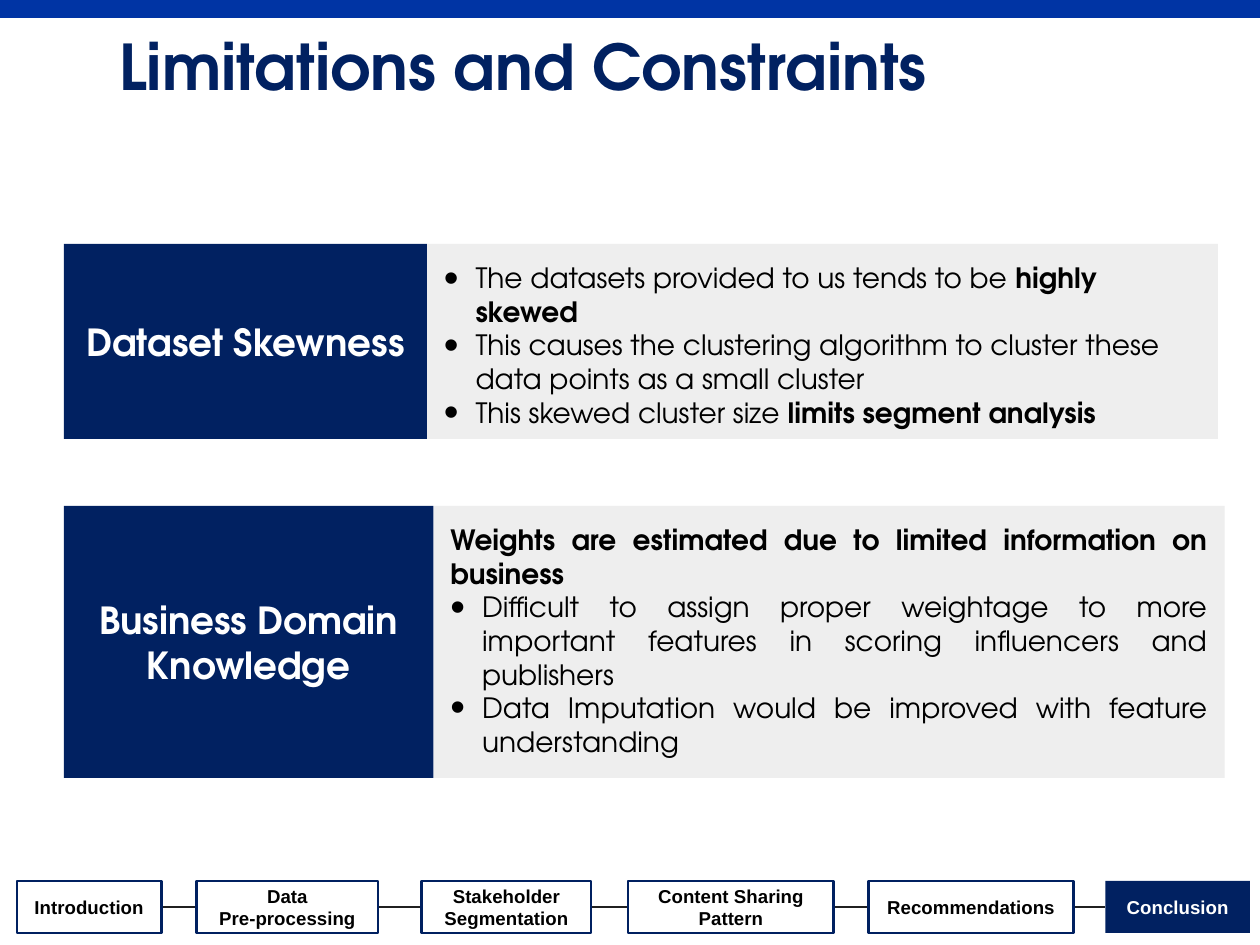
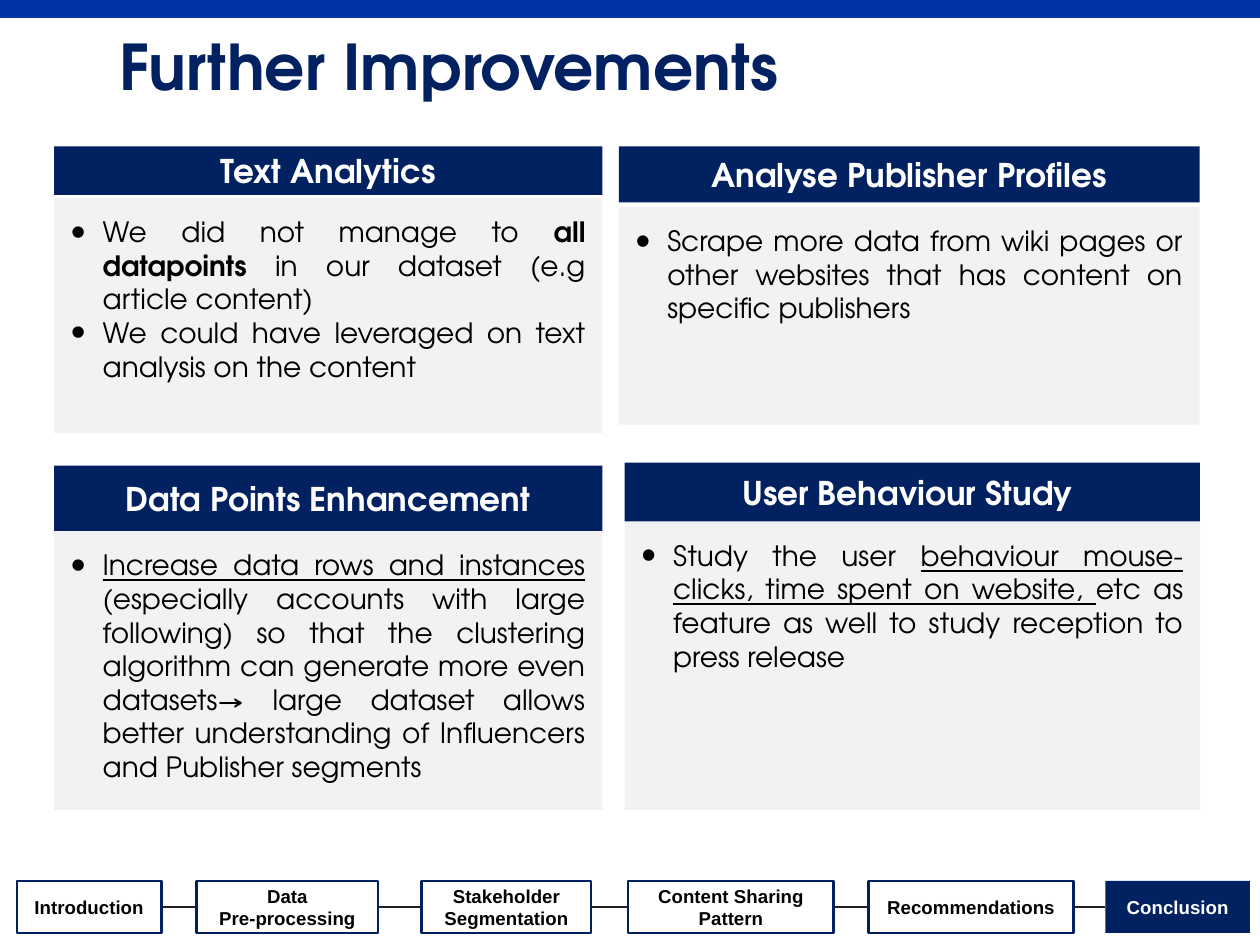
from itertools import pairwise

from lxml.etree import SubElement
from pptx import Presentation
from pptx.dml.color import RGBColor
from pptx.enum.shapes import MSO_CONNECTOR, MSO_SHAPE
from pptx.enum.text import MSO_ANCHOR, MSO_AUTO_SIZE, PP_ALIGN
from pptx.oxml.ns import qn
from pptx.util import Pt

COLORS = {
    "navy": "012161",
    "outline": "002060",
    "band": "0034A4",
    "line": "202020",
    "black": "000000",
    "white": "FFFFFF",
    "row": "EEEEEE",
    "card": "F2F2F2",
}
HEADING_FONT = "TeX Gyre Adventor"
FOOTER_FONT = "Arial"
WIDTH, HEIGHT = 540, 405
LIST_INDENT = 13.6
TWO_LISTS, FOUR_LISTS = 3, 4  # layouts with that many body placeholders

STAGES = [  # left, width, lines
    (7.2, 62, ["Introduction"]),
    (84.2, 78, ["Data", "Pre-processing"]),
    (180.7, 72.7, ["Stakeholder Segmentation"]),
    (269.3, 88, ["Content Sharing Pattern"]),
    (372.2, 88, ["Recommendations"]),
    (473.8, 61.9, ["Conclusion"]),
]
CURRENT_STAGE = "Conclusion"

# A paragraph is a list of spans: (text, marks), where b is bold and u underlined.
LIMITATIONS = [  # box, label width, label, lead, bullets, alignment
    ((27.4, 104.5, 494.6, 83.6), 155.6, "Dataset Skewness", [], [
        [("The datasets provided to us tends to be ", ""), ("highly skewed", "b")],
        [("This causes the clustering algorithm to cluster these data points "
          "as a small cluster", "")],
        [("This skewed cluster size ", ""), ("limits segment analysis", "b")],
    ], PP_ALIGN.LEFT),
    ((27.4, 216.8, 497.5, 116.6), 158.4, "Business Domain Knowledge", [
        [("Weights are estimated due to limited information on business", "b")],
    ], [
        [("Difficult to assign proper weightage to more important features in "
          "scoring influencers and publishers", "")],
        [("Data Imputation would be improved with feature understanding", "")],
    ], PP_ALIGN.JUSTIFY),
]
IMPROVEMENTS = [  # box, heading height, gap, heading, bullets
    ((23.2, 62.7, 235, 122.9), 20.9, 1.2, "Text Analytics", [
        [("We did not manage to ", ""), ("all datapoints", "b"),
         (" in our dataset (e.g article content)", "")],
        [("We could have leveraged on text analysis on the content", "")],
    ]),
    ((265.2, 62.7, 249, 119.3), 24, 2, "Analyse Publisher Profiles", [
        [("Scrape more data from wiki pages or other websites that has content on "
          "specific publishers", "")],
    ]),
    ((23.2, 199.6, 235, 147.5), 28, 0, "Data Points Enhancement", [
        [("Increase data rows and instances ", "u"),
         ("(especially accounts with large following) so that the clustering "
          "algorithm can generate more even datasets→ large dataset allows better "
          "understanding of Influencers and Publisher segments", "")],
    ]),
    ((267.7, 198.3, 246.6, 148.8), 25.2, 0, "User Behaviour Study ", [
        [("Study the user ", ""),
         ("behaviour mouse-clicks, time spent on website, ", "u"),
         ("etc as feature as well to study reception to press release", "")],
    ]),
]


def rgb(name):
    return RGBColor.from_string(COLORS[name])


def place(shape, box):
    shape.left, shape.top, shape.width, shape.height = map(Pt, box)


def set_bullet(para, bulleted):
    properties = para._p.get_or_add_pPr()
    indent = Pt(LIST_INDENT) if bulleted else 0
    properties.set("marL", str(indent))
    properties.set("indent", str(-indent))
    if not bulleted:
        SubElement(properties, qn("a:buNone"))
        return
    color = SubElement(properties, qn("a:buClr"))
    SubElement(color, qn("a:srgbClr"), val=COLORS["black"])
    SubElement(properties, qn("a:buSzPct"), val="150000")
    SubElement(properties, qn("a:buFont"), typeface=FOOTER_FONT)
    SubElement(properties, qn("a:buChar"), char="•")


def write_text(shape, paragraphs, *, size, color="black", font=HEADING_FONT,
               align=PP_ALIGN.CENTER, anchor=MSO_ANCHOR.MIDDLE,
               insets=(7.2, 3.6), spacing=1.0, bullets_from=None):
    """Fill a shape with paragraphs; those from index bullets_from get bullets."""
    frame = shape.text_frame
    frame.word_wrap = True
    frame.auto_size = MSO_AUTO_SIZE.NONE
    frame.vertical_anchor = anchor
    frame.margin_left = frame.margin_right = Pt(insets[0])
    frame.margin_top = frame.margin_bottom = Pt(insets[1])
    for index, spans in enumerate(paragraphs):
        para = frame.add_paragraph() if index else frame.paragraphs[0]
        para.alignment = align
        para.line_spacing = spacing
        para.space_before = para.space_after = Pt(0)
        set_bullet(para, bullets_from is not None and index >= bullets_from)
        for text, marks in spans:
            span = para.add_run()
            span.text = text
            span.font.name = font
            span.font.size = Pt(size)
            span.font.color.rgb = rgb(color)
            span.font.bold = "b" in marks
            span.font.underline = "u" in marks


def add_box(page, box, fill, outline=None):
    shape = page.shapes.add_shape(MSO_SHAPE.RECTANGLE, *map(Pt, box))
    shape.shadow.inherit = False
    shape.fill.solid()
    shape.fill.fore_color.rgb = rgb(fill)
    if outline:
        shape.line.color.rgb = rgb(outline)
        shape.line.width = Pt(1)
    else:
        shape.line.fill.background()
    return shape


def add_label(page, box, text, size):
    label = add_box(page, box, "navy")
    write_text(label, [[(text, "b")]], size=size, color="white")


def fill_list(body, box, fill, lead, bullets, align):
    place(body, box)
    body.fill.solid()
    body.fill.fore_color.rgb = rgb(fill)
    write_text(body, lead + bullets, size=12, align=align, anchor=MSO_ANCHOR.TOP,
               insets=(7.2, 7.2), bullets_from=len(lead))


def add_progress(page, top, height):
    for (left, width, _), (next_left, _, _) in pairwise(STAGES):
        middle = top + height / 2
        link = page.shapes.add_connector(
            MSO_CONNECTOR.STRAIGHT,
            *map(Pt, (left + width, middle, next_left, middle)))
        link.line.color.rgb = rgb("line")
        link.line.width = Pt(0.75)
        SubElement(link._element.spPr, qn("a:effectLst"))
    for left, width, lines in STAGES:
        current = lines == [CURRENT_STAGE]
        stage = add_box(page, (left, top, width, height),
                        "navy" if current else "white",
                        None if current else "outline")
        write_text(stage, [[(line, "b")] for line in lines], size=8,
                   font=FOOTER_FONT, color="white" if current else "black")


def add_page(deck, layout, title):
    """Add a slide with its shared parts; return it and its body placeholders."""
    page = deck.slides.add_slide(deck.slide_layouts[layout])
    heading, *bodies = page.placeholders
    place(heading, (46.8, 11.5, 380, 36.7))
    write_text(heading, [[(title, "b")]], size=27, color="navy",
               align=PP_ALIGN.LEFT, insets=(4.3, 2.2), spacing=0.9)
    add_box(page, (0, 0, WIDTH, 7.7), "band")
    add_progress(page, 377.5, 22.3)
    return page, bodies


def add_limitation(page, body, box, label_width, label, lead, bullets, align):
    left, top, width, height = box
    add_label(page, (left, top, label_width, height), label, 16)
    fill_list(body, (left + label_width, top, width - label_width, height),
              "row", lead, bullets, align)


def add_improvement(page, body, box, head_height, gap, heading, bullets):
    left, top, width, height = box
    add_label(page, (left, top, width, head_height), heading, 14)
    offset = head_height + gap
    fill_list(body, (left, top + offset, width, height - offset),
              "card", [], bullets, PP_ALIGN.JUSTIFY)


def main():
    deck = Presentation()
    deck.slide_width, deck.slide_height = Pt(WIDTH), Pt(HEIGHT)
    for layout, title, add_panel, panels in (
        (TWO_LISTS, "Limitations and Constraints", add_limitation, LIMITATIONS),
        (FOUR_LISTS, "Further Improvements", add_improvement, IMPROVEMENTS),
    ):
        page, bodies = add_page(deck, layout, title)
        for body, panel in zip(bodies, panels):
            add_panel(page, body, *panel)
    deck.save("out.pptx")


if __name__ == "__main__":
    main()
